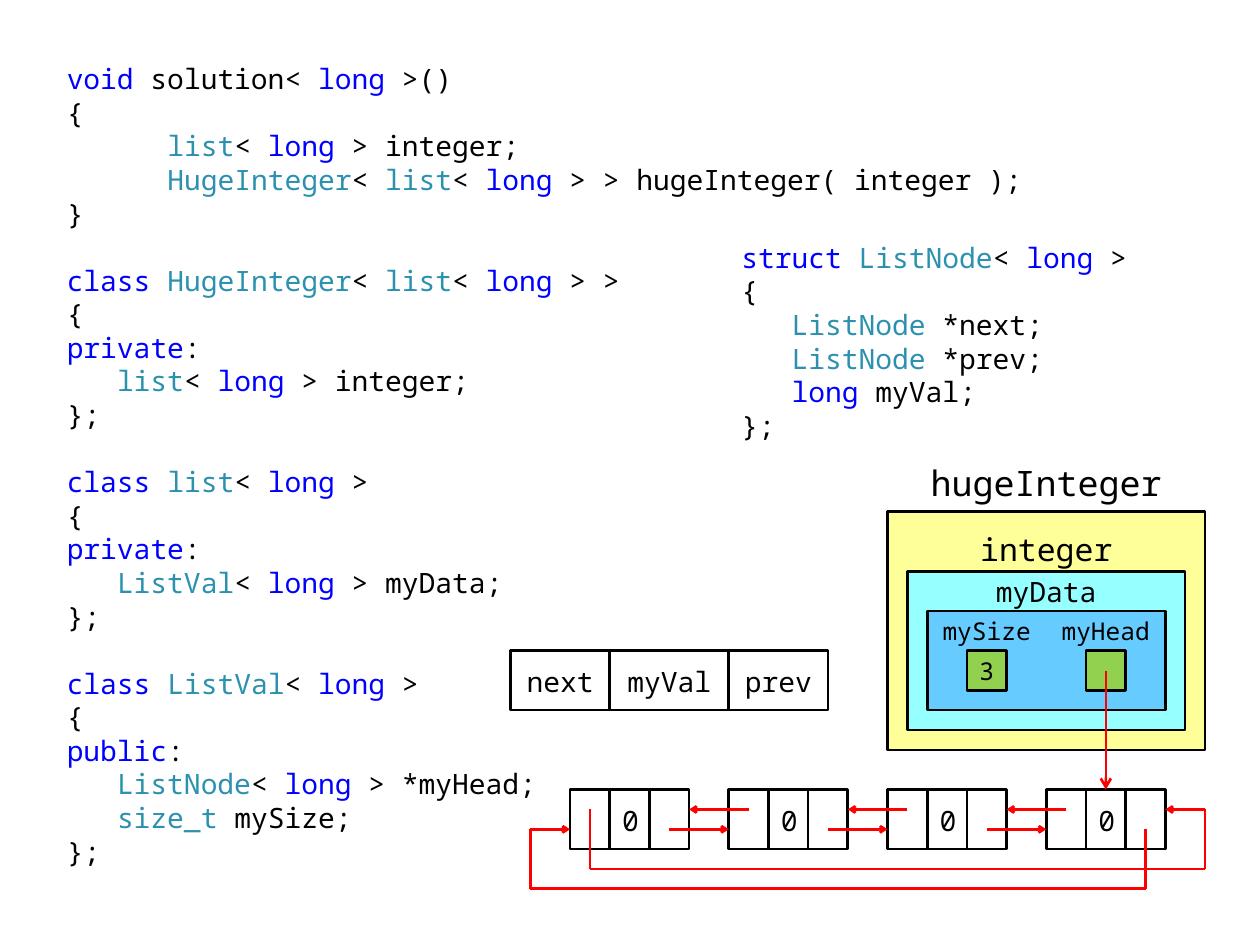
from dataclasses import dataclass
from itertools import groupby

from lxml.etree import SubElement
from pptx import Presentation
from pptx.dml.color import RGBColor
from pptx.enum.shapes import MSO_CONNECTOR, MSO_SHAPE
from pptx.enum.text import MSO_ANCHOR, MSO_AUTO_SIZE, PP_ALIGN
from pptx.oxml.ns import qn
from pptx.util import Inches, Mm, Pt

FONT = "Noto Sans Mono"
COLORS = {
    "black": "000000", "keyword": "0000FF", "type": "2B91AF", "link": "FF0000",
    "object": "FFFF99", "list": "96FFFF", "data": "66CCFF", "member": "92D050",
}
KEYWORDS = {"void", "long", "class", "private", "public", "struct"}
TYPES = {"list", "HugeInteger", "ListVal", "ListNode", "size_t"}

# Everything sits on a 4 mm grid that starts at the code block's corner.
UNIT = Mm(4)
LEFT, TOP = Inches(0.43), Inches(0.44)
LINE_PITCH = Pt(19.2)
NODE_COLUMNS = range(26, 51, 8)
NODE_ROW = 37

MAIN_CODE = """void solution< long >()
{
      list< long > integer;
      HugeInteger< list< long > > hugeInteger( integer );
}

class HugeInteger< list< long > >
{
private:
   list< long > integer;
};

class list< long >
{
private:
   ListVal< long > myData;
};

class ListVal< long >
{
public:
   ListNode< long > *myHead;
   size_t mySize;
};"""

NODE_CODE = """struct ListNode< long >
{
   ListNode *next;
   ListNode *prev;
   long myVal;
};"""


@dataclass
class Block:
    """A rectangle in grid units, with insets in inches."""
    column: float
    row: float
    width: float
    height: float
    text: str = ""
    size: int = 16
    fill: str = ""
    outlined: bool = True
    insets: tuple = (0.1, 0.06, 0.1, 0.04)


@dataclass
class Link:
    """A red path through grid points, with an arrowhead at its end."""
    points: list
    head: str = "sm"


def x_at(column: float) -> int:
    return int(LEFT + column * UNIT)


def y_at(row: float) -> int:
    return int(TOP + row * UNIT)


def color(name: str) -> RGBColor:
    return RGBColor.from_string(COLORS[name])


def color_name(word: str) -> str:
    if word in KEYWORDS:
        return "keyword"
    return "type" if word in TYPES else "black"


def style(font, size: int, name: str) -> None:
    font.name, font.size = FONT, Pt(size)
    font.color.rgb = color(name)


def fill_code(box, code: str, area: tuple) -> None:
    """Place a code placeholder and color its words; a blank line becomes space before."""
    column, row, width, height = area
    box.left, box.top = x_at(column), y_at(row)
    box.width, box.height = int(width * UNIT), int(height * UNIT)
    frame = box.text_frame
    frame.auto_size = MSO_AUTO_SIZE.NONE
    frame.word_wrap = True
    frame.vertical_anchor = MSO_ANCHOR.TOP
    para = None
    for section in code.split("\n\n"):
        for number, line in enumerate(section.split("\n")):
            starts_section = para is not None and number == 0
            para = frame.add_paragraph() if para is not None else frame.paragraphs[0]
            properties = para._p.get_or_add_pPr()
            properties.set("marL", "0")
            properties.set("indent", "0")
            SubElement(properties, qn("a:buNone"))
            para.line_spacing = LINE_PITCH
            para.space_before = LINE_PITCH if starts_section else Pt(0)
            words = ["".join(part) for _, part in
                     groupby(line, lambda char: char.isalnum() or char == "_")]
            for name, part in groupby(words, color_name):
                span = para.add_run()
                span.text = "".join(part)
                style(span.font, 16, name)


def draw_block(slide, block: Block) -> None:
    place = (x_at(block.column), y_at(block.row),
             int(block.width * UNIT), int(block.height * UNIT))
    if block.outlined:
        box = slide.shapes.add_shape(MSO_SHAPE.RECTANGLE, *place)
        box.shadow.inherit = False
        box.line.color.rgb = color("black")
        box.line.width = Pt(1.5)
        if block.fill:
            box.fill.solid()
            box.fill.fore_color.rgb = color(block.fill)
        else:
            box.fill.background()
    else:
        box = slide.shapes.add_textbox(*place)
    if block.text:
        frame = box.text_frame
        frame.word_wrap = True
        frame.vertical_anchor = MSO_ANCHOR.MIDDLE
        (frame.margin_left, frame.margin_top,
         frame.margin_right, frame.margin_bottom) = map(Inches, block.insets)
        frame.text = block.text
        para = frame.paragraphs[0]
        para.alignment = PP_ALIGN.CENTER
        style(para.runs[0].font, block.size, "black")


def draw_link(slide, link: Link) -> None:
    for start, end in zip(link.points, link.points[1:]):
        line = slide.shapes.add_connector(
            MSO_CONNECTOR.STRAIGHT, x_at(start[0]), y_at(start[1]), x_at(end[0]), y_at(end[1]))
        line.line.color.rgb = color("link")
        line.line.width = Pt(1.5)
        if end == link.points[-1]:
            SubElement(line.line._get_or_add_ln(), qn("a:tailEnd"),
                       type="arrow", w=link.head, len=link.head)
        SubElement(line._element.spPr, qn("a:effectLst"))


def main() -> None:
    deck = Presentation()
    deck.slide_width, deck.slide_height = Inches(10), Inches(7.5)
    slide = deck.slides.add_slide(deck.slide_layouts.get_by_name("Two Content"))
    title = slide.shapes.title._element
    title.getparent().remove(title)
    main_box, node_box = slide.placeholders
    fill_code(main_box, MAIN_CODE, (0, 0, 50, 41))
    fill_code(node_box, NODE_CODE, (34, 9, 21, 11))

    member = (0.04, 0.05, 0.04, 0.05)
    blocks = [
        Block(42, 23, 16, 12, fill="object"),
        Block(43, 26, 14, 8, fill="list"),
        Block(44, 28, 12, 5, fill="data"),
        Block(43, 20, 14, 3, "hugeInteger", 20, outlined=False, insets=(0.1, 0.05, 0.1, 0.05)),
        Block(46, 23, 8, 3, "integer", 18, outlined=False, insets=(0.08, 0.12, 0.08, 0)),
        Block(46, 26, 8, 2, "myData", outlined=False, insets=(0.08, 0, 0.08, 0)),
        Block(44, 28, 6, 2, "mySize", 14, outlined=False, insets=member),
        Block(50, 28, 6, 2, "myHead", 14, outlined=False, insets=member),
        Block(46, 30, 2, 2, "3", 14, "member", insets=(0.1, 0.05, 0.1, 0.05)),
        Block(52, 30, 2, 2, fill="member"),
        Block(23, 30, 5, 3, "next"),
        Block(28, 30, 6, 3, "myVal"),
        Block(34, 30, 5, 3, "prev"),
    ]
    for column in NODE_COLUMNS:
        blocks += [Block(column + 2 * index, NODE_ROW, 2, 3, text)
                   for index, text in enumerate(("", "0", ""))]
    for block in blocks:
        draw_block(slide, block)

    upper, lower = NODE_ROW + 1, NODE_ROW + 2
    first, last = NODE_COLUMNS[0], NODE_COLUMNS[-1]
    links = [
        Link([(53, 31), (53, NODE_ROW)], "med"),
        Link([(last + 5, lower), (last + 5, 42), (first - 2, 42), (first - 2, lower), (first, lower)]),
        Link([(first + 1, upper), (first + 1, 41), (last + 8, 41), (last + 8, upper), (last + 6, upper)]),
    ]
    for here, after in zip(NODE_COLUMNS, NODE_COLUMNS[1:]):
        links += [Link([(after + 1, upper), (here + 6, upper)]),
                  Link([(here + 5, lower), (after, lower)])]
    for link in links:
        draw_link(slide, link)
    deck.save("out.pptx")


if __name__ == "__main__":
    main()
